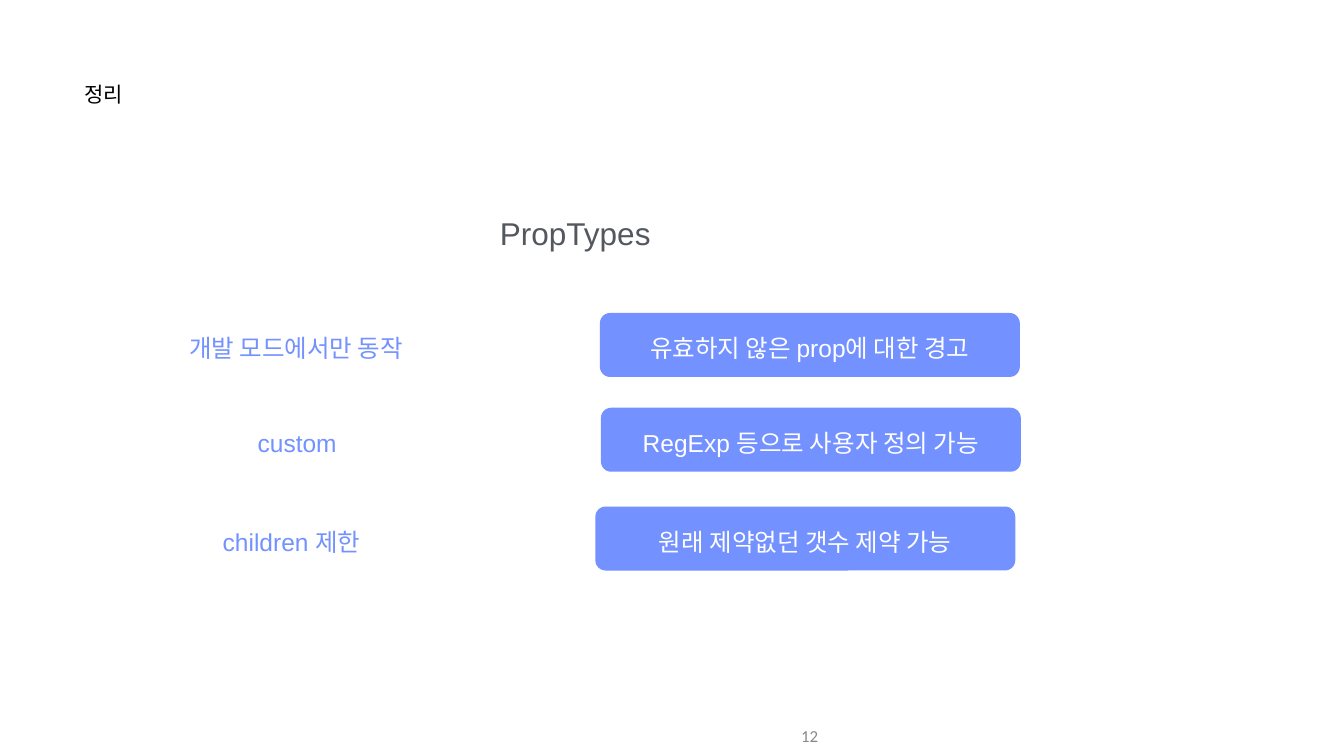
"""Build the PropTypes summary slide."""
from pptx import Presentation
from pptx.dml.color import RGBColor
from pptx.enum.shapes import MSO_SHAPE
from pptx.enum.text import MSO_ANCHOR, MSO_AUTO_SIZE, PP_ALIGN
from pptx.util import Inches, Pt

BLACK = RGBColor(0x00, 0x00, 0x00)
WHITE = RGBColor(0xFF, 0xFF, 0xFF)
SLATE = RGBColor(0x53, 0x58, 0x5F)
GRAY = RGBColor(0x88, 0x88, 0x88)
BLUE = RGBColor(0x73, 0x91, 0xFF)


def place(sp, left, top, width, height):
    sp.left, sp.top = Inches(left), Inches(top)
    sp.width, sp.height = Inches(width), Inches(height)


def write(sp, text, size, color, align=PP_ALIGN.CENTER,
          anchor=MSO_ANCHOR.MIDDLE, font="Arial", top_inset=0.01):
    tf = sp.text_frame
    tf.word_wrap = True
    tf.auto_size = MSO_AUTO_SIZE.NONE
    tf.vertical_anchor = anchor
    tf.margin_left = tf.margin_right = tf.margin_bottom = Inches(0.01)
    tf.margin_top = Inches(top_inset)
    p = tf.paragraphs[0]
    p.alignment = align
    r = p.add_run()
    r.text = text
    r.font.name = font
    r.font.size = Pt(size)
    r.font.color.rgb = color


prs = Presentation()
prs.slide_width, prs.slide_height = Inches(26.66), Inches(15)
s = prs.slides.add_slide(prs.slide_layouts[5])

title = s.shapes.title
place(title, 1.67, 1.6, 4.86, 1.18)
write(title, "정리", 30, BLACK, PP_ALIGN.LEFT, MSO_ANCHOR.TOP)

heading = s.shapes.add_textbox(0, 0, 0, 0)
place(heading, 2.64, 4.24, 17.54, 0.79)
write(heading, "PropTypes", 45, SLATE, anchor=MSO_ANCHOR.TOP)

number = s.shapes.add_textbox(0, 0, 0, 0)
place(number, 10.33, 14.21, 5.91, 0.79)
write(number, "12", 24, GRAY, PP_ALIGN.RIGHT, font="Calibri")

rows = [
    (2.75, 6.21, "개발 모드에서만 동작", "유효하지 않은 prop에 대한 경고"),
    (2.77, 8.09, "custom", "RegExp 등으로 사용자 정의 가능"),
    (2.66, 10.05, "children 제한", "원래 제약없던 갯수 제약 가능"),
]
for left, top, topic, detail in rows:
    label = s.shapes.add_textbox(0, 0, 0, 0)
    place(label, left, top + 0.38, 6.25, 0.62)
    write(label, topic, 35, BLUE)

    pill = s.shapes.add_shape(MSO_SHAPE.ROUNDED_RECTANGLE, 0, 0, 0, 0)
    place(pill, left + 9.15, top, 8.33, 1.27)
    pill.adjustments[0] = 0.16
    pill.shadow.inherit = False
    pill.fill.solid()
    pill.fill.fore_color.rgb = BLUE
    pill.line.fill.background()
    write(pill, detail, 35, WHITE, top_inset=0.12)

prs.save("out.pptx")
